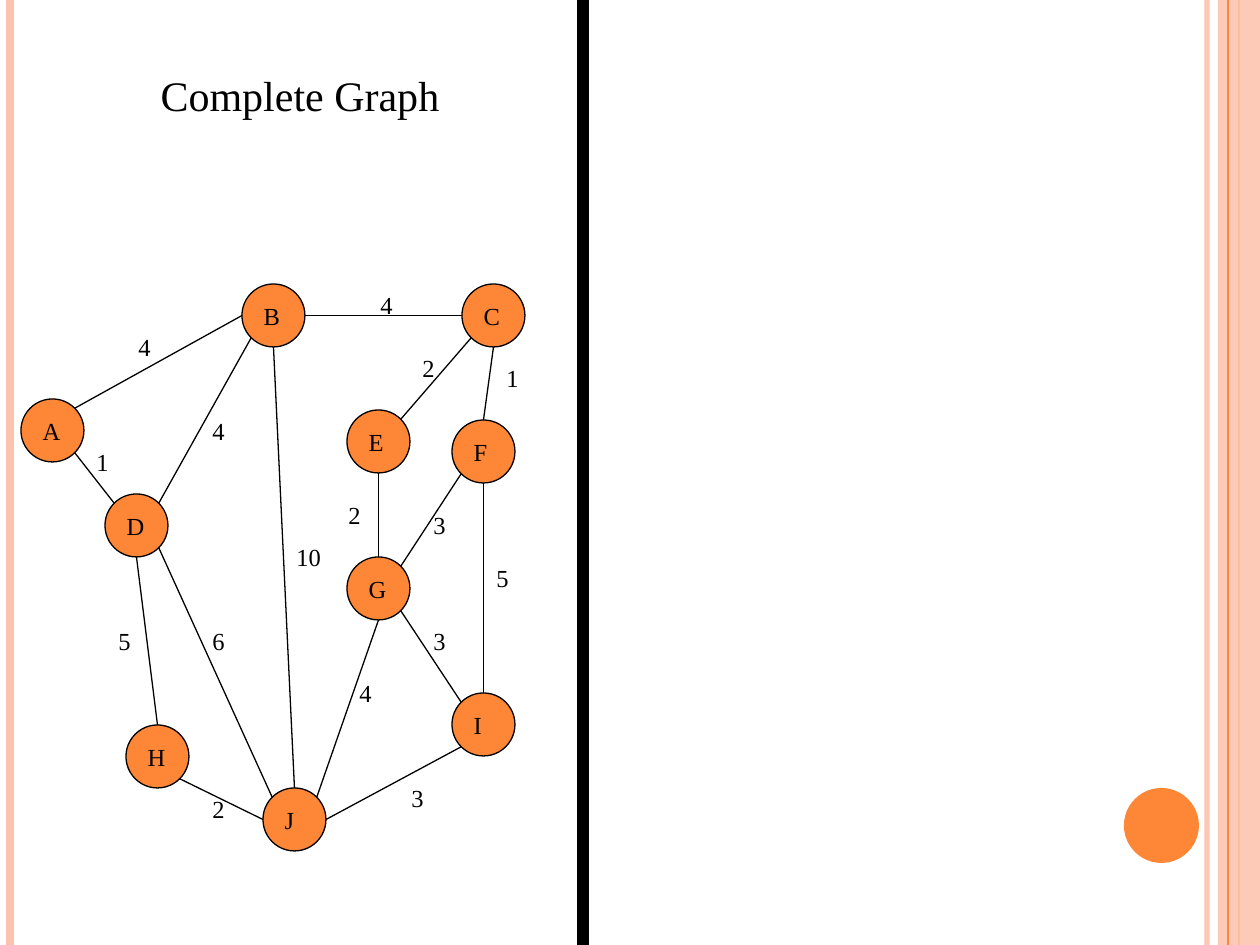
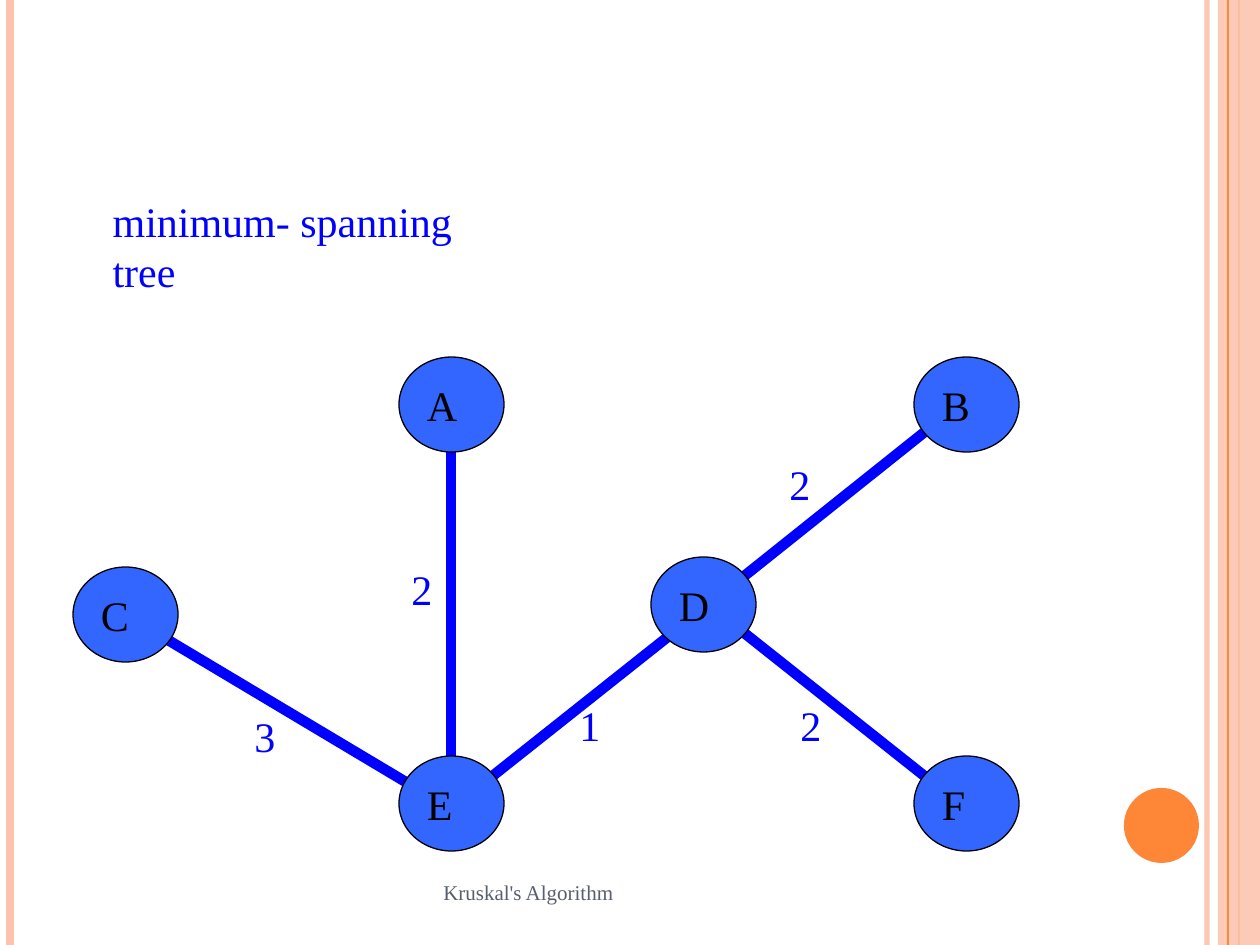
from math import cos, radians, sin

from lxml.etree import SubElement
from pptx import Presentation
from pptx.dml.color import RGBColor
from pptx.enum.shapes import MSO_CONNECTOR, MSO_SHAPE
from pptx.enum.text import MSO_ANCHOR, MSO_AUTO_SIZE, PP_ALIGN
from pptx.oxml.ns import qn
from pptx.util import Emu, Pt

PX_PER_INCH = 126
SLIDE_W, SLIDE_H = 1260, 945
FONT = "Times New Roman"

BLACK = RGBColor(0x00, 0x00, 0x00)
ORANGE = RGBColor(0xFE, 0x86, 0x37)
PEACH = RGBColor(0xFE, 0xC3, 0xAE)
TREE_BLUE = RGBColor(0x00, 0x00, 0xFF)
NODE_BLUE = RGBColor(0x33, 0x66, 0xFF)
SLATE = RGBColor(0x57, 0x5F, 0x6D)

COMPASS = {"E": 0, "SE": 45, "S": 90, "SW": 135,
           "W": 180, "NW": 225, "N": 270, "NE": 315}

# Complete graph: top left corner of each node
GRAPH_NODE = 63
GRAPH_NODES = {
    "A": (21, 399), "B": (242, 284), "C": (462, 284), "D": (105, 494),
    "E": (347, 410), "F": (452, 420), "G": (347, 557), "H": (126, 725),
    "I": (452, 693), "J": (263, 788),
}
# Node and side at each end, weight, top left corner of the weight
GRAPH_EDGES = [
    ("A", "NE", "B", "W", 4, (126, 326)),
    ("B", "E", "C", "W", 4, (368, 284)),
    ("A", "SE", "D", "NW", 1, (84, 441)),
    ("B", "SW", "D", "NE", 4, (200, 410)),
    ("B", "S", "J", "N", 10, (284, 536)),
    ("C", "SW", "E", "NE", 2, (410, 347)),
    ("C", "S", "F", "N", 1, (494, 357)),
    ("E", "S", "G", "N", 2, (336, 494)),
    ("F", "SW", "G", "NE", 3, (421, 504)),
    ("F", "S", "I", "N", 5, (484, 557)),
    ("G", "SE", "I", "NW", 3, (421, 620)),
    ("G", "S", "J", "NE", 4, (347, 672)),
    ("D", "S", "H", "N", 5, (106, 620)),
    ("D", "SE", "J", "NW", 6, (200, 620)),
    ("H", "SE", "J", "W", 2, (200, 788)),
    ("J", "E", "I", "SW", 3, (399, 777)),
]

# Spanning tree: top left corner of each node
TREE_NODE_W, TREE_NODE_H = 105, 95
TREE_NODES = {
    "C": (73, 567), "F": (914, 756), "E": (399, 756),
    "A": (399, 357), "B": (914, 357), "D": (651, 557),
}
# Both ends, weight, top left corner of the weight
TREE_EDGES = [
    ((451, 399), (451, 809), 2, (399, 557)),
    ((714, 609), (966, 809), 2, (788, 693)),
    ((703, 609), (451, 809), 1, (567, 693)),
    ((703, 609), (966, 399), 2, (777, 452)),
    ((116, 609), (451, 809), 3, (242, 704)),
]


def px(length):
    return Emu(round(length * 914400 / PX_PER_INCH))


def set_alpha(fill_parent, percent):
    """Make the solid colour below an XML element partly transparent."""
    colour = next(fill_parent.iter(qn("a:srgbClr")))
    SubElement(colour, qn("a:alpha")).set("val", str(percent * 1000))


def write(frame, text, size, colour, align=PP_ALIGN.LEFT,
          anchor=MSO_ANCHOR.TOP, wrap=False):
    frame_format = {
        "auto_size": MSO_AUTO_SIZE.NONE, "word_wrap": wrap,
        "vertical_anchor": anchor,
        "margin_left": px(12.6), "margin_right": px(12.6),
        "margin_top": px(6.3), "margin_bottom": px(6.3),
    }
    for name, value in frame_format.items():
        setattr(frame, name, value)
    paragraph = frame.paragraphs[0]
    paragraph.alignment = align
    run = paragraph.add_run()
    run.text = text
    for name, value in {"name": FONT, "size": Pt(size), "bold": False}.items():
        setattr(run.font, name, value)
    run.font.color.rgb = colour


def add_label(slide, box, text, size, colour, **layout):
    label = slide.shapes.add_textbox(*map(px, box))
    write(label.text_frame, text, size, colour, **layout)


def set_title(slide, box, text, colour, align):
    title = slide.shapes.title
    for name, value in zip(("left", "top", "width", "height"), box):
        setattr(title, name, px(value))
    write(title.text_frame, text, 24, colour, align=align, wrap=True)


def add_filled(slide, kind, box, fill, outline=None):
    shape = slide.shapes.add_shape(kind, *map(px, box))
    shape.shadow.inherit = False
    shape.fill.solid()
    shape.fill.fore_color.rgb = fill
    if outline is None:
        shape.line.fill.background()
    else:
        shape.line.color.rgb = outline
        shape.line.width = Pt(0.75)
    return shape


def add_node(slide, box, letter, fill, size):
    node = add_filled(slide, MSO_SHAPE.OVAL, box, fill, BLACK)
    write(node.text_frame, letter, size, BLACK, anchor=MSO_ANCHOR.MIDDLE)


def add_line(slide, start, end, colour, width):
    line = slide.shapes.add_connector(
        MSO_CONNECTOR.STRAIGHT, *map(px, (*start, *end)))
    line.line.color.rgb = colour
    line.line.width = Pt(width)
    SubElement(line._element.spPr, qn("a:effectLst"))
    return line


def add_rule(slide, x, colour, width):
    return add_line(slide, (x, 0), (x, SLIDE_H), colour, width)


def add_bands(slide):
    """Draw the side stripes and the disc that every slide carries."""
    inner_rule = add_rule(slide, 1207, PEACH, 3)
    set_alpha(inner_rule._element.spPr, 93)
    add_rule(slide, 10, PEACH, 4.5)
    add_rule(slide, 1239, ORANGE, 1.5)
    band = add_filled(slide, MSO_SHAPE.RECTANGLE,
                      (1218, 0, SLIDE_W - 1218, SLIDE_H), PEACH)
    set_alpha(band._element.spPr, 87)
    add_rule(slide, 1228, ORANGE, 0.75)
    add_filled(slide, MSO_SHAPE.OVAL, (1124, 788, 75, 75), ORANGE)


def new_slide(deck):
    slide = deck.slides.add_slide(deck.slide_layouts[5])
    add_bands(slide)
    return slide


def rim_point(letter, side):
    """Return the point on a graph node's rim that faces a compass side."""
    left, top = GRAPH_NODES[letter]
    radius, angle = GRAPH_NODE / 2, radians(COMPASS[side])
    return (left + radius * (1 + cos(angle)), top + radius * (1 + sin(angle)))


def build_graph_slide(deck):
    slide = new_slide(deck)
    set_title(slide, (116, 63, 368, 63), "Complete Graph", BLACK,
              PP_ALIGN.CENTER)
    add_filled(slide, MSO_SHAPE.RECTANGLE, (578, 0, 10, SLIDE_H), BLACK, BLACK)
    for letter, corner in GRAPH_NODES.items():
        add_node(slide, (*corner, GRAPH_NODE, GRAPH_NODE), letter, ORANGE, 14)
    for start, start_side, end, end_side, weight, corner in GRAPH_EDGES:
        add_line(slide, rim_point(start, start_side),
                 rim_point(end, end_side), BLACK, 0.75)
        width = 38 if weight < 10 else 49
        add_label(slide, (*corner, width, 43), str(weight), 14, BLACK)


def build_tree_slide(deck):
    slide = new_slide(deck)
    set_title(slide, (100, 189, 437, 63), "minimum- spanning tree", TREE_BLUE,
              PP_ALIGN.LEFT)
    for start, end, _, _ in TREE_EDGES:
        add_line(slide, start, end, TREE_BLUE, 6)
    for letter, corner in TREE_NODES.items():
        add_node(slide, (*corner, TREE_NODE_W, TREE_NODE_H), letter,
                 NODE_BLUE, 24)
    for _, _, weight, corner in TREE_EDGES:
        add_label(slide, (*corner, 63, 63), str(weight), 24, TREE_BLUE,
                  wrap=True)
    add_label(slide, (431, 861, 399, 63), "Kruskal's Algorithm", 12, SLATE,
              anchor=MSO_ANCHOR.MIDDLE, wrap=True)


def main():
    deck = Presentation()
    deck.slide_width, deck.slide_height = px(SLIDE_W), px(SLIDE_H)
    build_graph_slide(deck)
    build_tree_slide(deck)
    deck.save("out.pptx")


if __name__ == "__main__":
    main()
